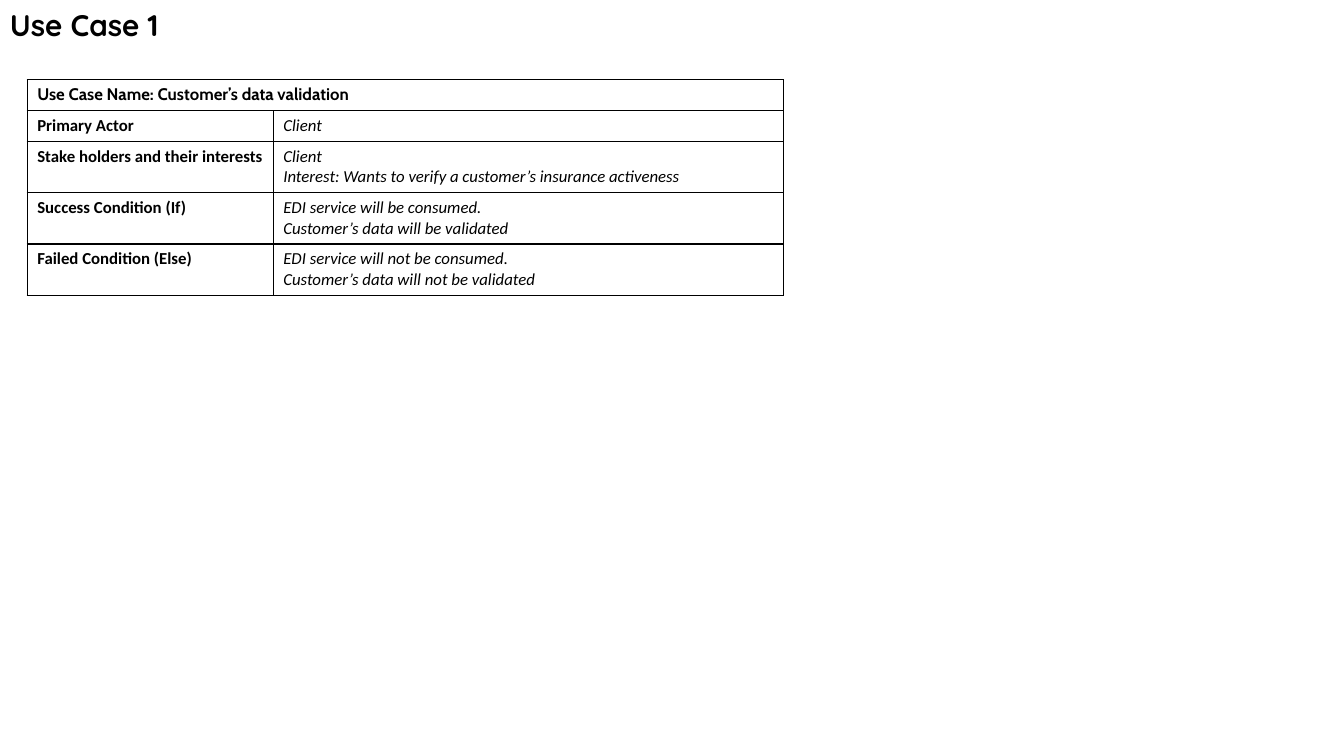
from lxml import etree
from pptx import Presentation
from pptx.dml.color import RGBColor
from pptx.enum.text import MSO_ANCHOR
from pptx.oxml.ns import qn
from pptx.util import Inches, Pt

COLORS = {"ink": "000000", "paper": "FFFFFF"}
TITLE_FONT, HEADING_FONT, BODY_FONT = "Quicksand", "Cabin", "Calibri"
COLUMN_WIDTHS = (2.44, 5.06)
HEADING_HEIGHT = 0.31
LINE_HEIGHT, CELL_PADDING = 0.21, 0.09

HEADING = "Use Case Name: Customer’s data validation"
DETAILS = [
    ("Primary Actor", ["Client"]),
    ("Stake holders and their interests",
     ["Client", "Interest: Wants to verify a customer’s insurance activeness"]),
    ("Success Condition (If)",
     ["EDI service will be consumed.", "Customer’s data will be validated"]),
    ("Failed Condition (Else)",
     ["EDI service will not be consumed.", "Customer’s data will not be validated"]),
]


def write_lines(text_frame, lines, font_name, size=12, bold=False, italic=False):
    for index, line in enumerate(lines):
        paragraph = text_frame.add_paragraph() if index else text_frame.paragraphs[0]
        run = paragraph.add_run()
        run.text = line
        run.font.name = font_name
        run.font.size = Pt(size)
        run.font.bold = bold
        run.font.italic = italic
        run.font.color.rgb = RGBColor.from_string(COLORS["ink"])


def add_title(slide, text, width):
    box = slide.shapes.add_textbox(0, Inches(0.01), width, Inches(0.51))
    frame = box.text_frame
    frame.word_wrap = True
    frame.vertical_anchor = MSO_ANCHOR.MIDDLE
    frame.paragraphs[0].line_spacing = 0.9
    write_lines(frame, [text], TITLE_FONT, size=21.3, bold=True)


def style_cell(cell):
    # Borders precede the fill in the cell properties
    properties = cell._tc.get_or_add_tcPr()
    for side in ("lnL", "lnR", "lnT", "lnB"):
        border = etree.SubElement(properties, qn(f"a:{side}"), w=str(Pt(1)))
        fill = etree.SubElement(border, qn("a:solidFill"))
        etree.SubElement(fill, qn("a:srgbClr"), val=COLORS["ink"])
    cell.fill.solid()
    cell.fill.fore_color.rgb = RGBColor.from_string(COLORS["paper"])


def add_use_case_table(slide, left, top):
    heights = [HEADING_HEIGHT]
    heights += [CELL_PADDING + LINE_HEIGHT * len(lines) for _, lines in DETAILS]
    table = slide.shapes.add_table(
        len(heights), len(COLUMN_WIDTHS), Inches(left), Inches(top),
        Inches(sum(COLUMN_WIDTHS)), Inches(sum(heights))).table
    for column, width in zip(table.columns, COLUMN_WIDTHS):
        column.width = Inches(width)
    for row, height in zip(table.rows, heights):
        row.height = Inches(height)
    for cell in table.iter_cells():
        style_cell(cell)

    # Heading across both columns
    table.cell(0, 0).merge(table.cell(0, 1))
    write_lines(table.cell(0, 0).text_frame, [HEADING], HEADING_FONT, bold=True)

    # Label and description rows
    for row, (label, lines) in enumerate(DETAILS, start=1):
        write_lines(table.cell(row, 0).text_frame, [label], BODY_FONT, bold=True)
        write_lines(table.cell(row, 1).text_frame, lines, BODY_FONT, italic=True)


def main():
    presentation = Presentation()
    presentation.slide_width = Inches(13.33)
    presentation.slide_height = Inches(7.5)
    slide = presentation.slides.add_slide(presentation.slide_layouts[6])
    add_title(slide, "Use Case 1", presentation.slide_width)
    add_use_case_table(slide, left=0.27, top=0.79)
    presentation.save("out.pptx")


if __name__ == "__main__":
    main()
